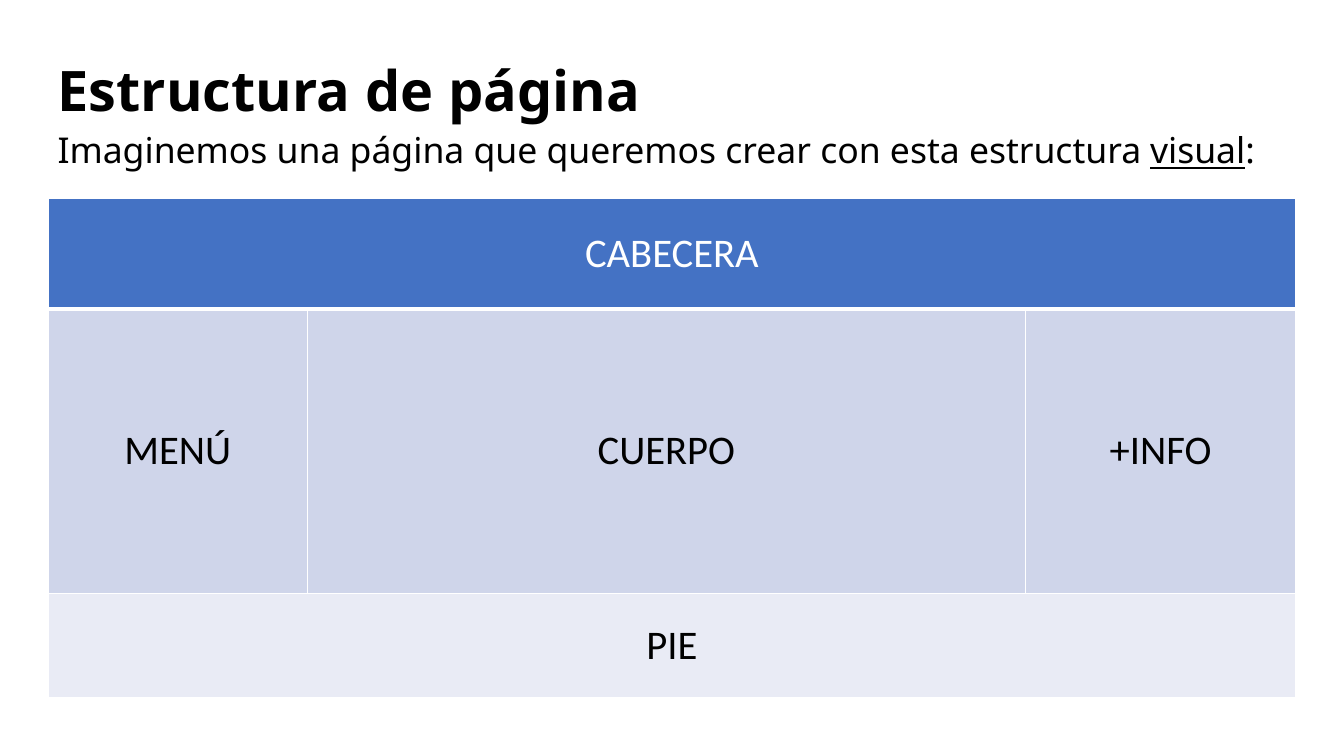
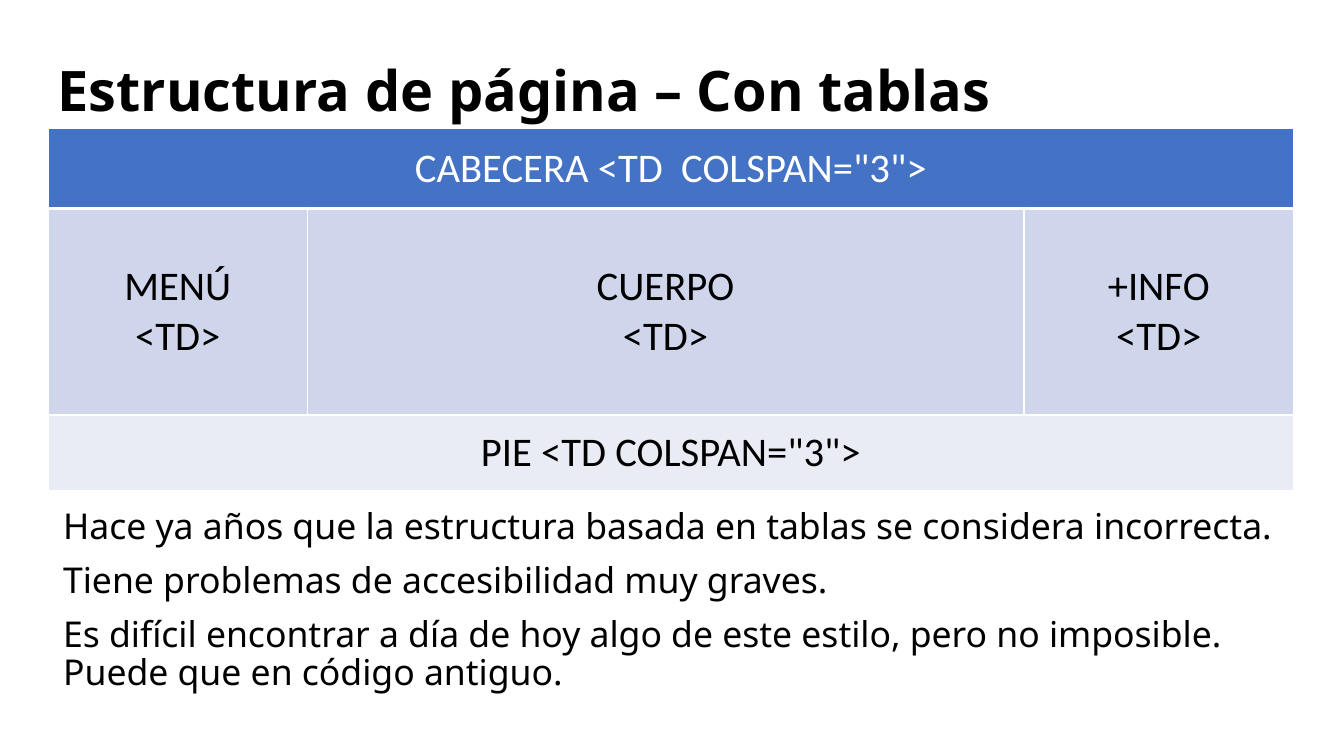
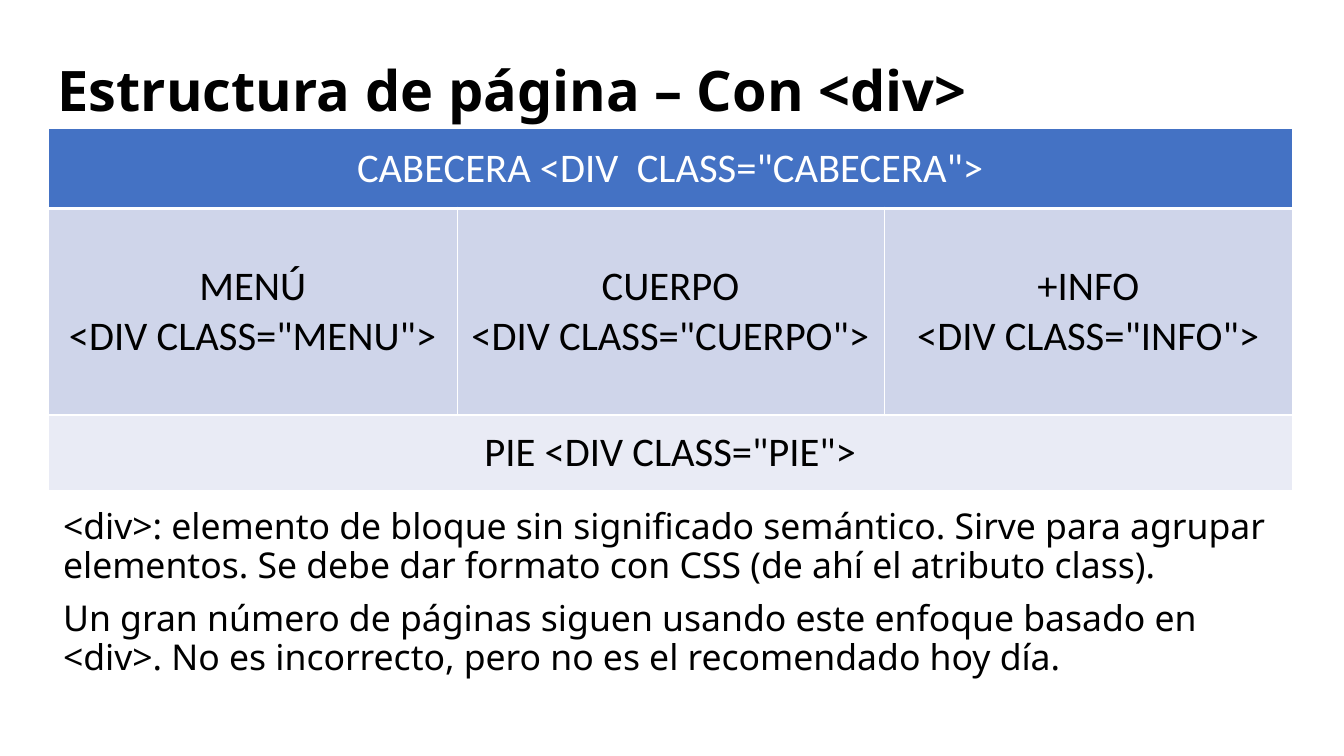
from lxml import etree
from pptx import Presentation
from pptx.dml.color import RGBColor
from pptx.enum.text import MSO_ANCHOR, MSO_AUTO_SIZE, PP_ALIGN
from pptx.oxml.ns import qn
from pptx.util import Inches, Pt

MIDDLE, TOP = MSO_ANCHOR.MIDDLE, MSO_ANCHOR.TOP
LEFT, CENTER = PP_ALIGN.LEFT, PP_ALIGN.CENTER
NO_AUTOFIT = MSO_AUTO_SIZE.NONE

BLACK = RGBColor(0x00, 0x00, 0x00)
WHITE = RGBColor(0xFF, 0xFF, 0xFF)
HEADER_BLUE = RGBColor(0x44, 0x72, 0xC4)
MIDDLE_BLUE = RGBColor(0xCF, 0xD5, 0xEA)
FOOTER_BLUE = RGBColor(0xE9, 0xEB, 0xF5)

TITLE_FONT = {"name": "Noto Sans", "size": Pt(44), "bold": True}
BODY_FONT = {"name": "Noto Sans", "size": Pt(28)}
CELL_FONT = {"name": "Calibri", "size": Pt(32), "bold": False}
TITLE_PARAGRAPH = {"alignment": LEFT, "line_spacing": 0.9}
BODY_PARAGRAPH = {"alignment": LEFT, "line_spacing": 0.9,
                  "space_before": Pt(6), "space_after": Pt(6)}

TITLE_BOX = (0.53, 0.64, 13.71, 0.77)
SIDE_COLUMN = 2.83
INFO_COLUMN = 2.95

PAGES = [
    {
        "title": "Estructura de página",
        "body": [[("Imaginemos una página que queremos crear con esta estructura ", False),
                  ("visual", True), (":", False)]],
        "body_box": (0.53, 1.4, 13.64, 2.49),
        "header": "CABECERA",
        "columns": ["MENÚ", "CUERPO", "+INFO"],
        "footer": "PIE",
        "table_at": (0.53, 2.17),
        "widths": [SIDE_COLUMN, 7.86, INFO_COLUMN],
        "heights": [1.21, 3.11, 1.14],
    },
    {
        "title": "Estructura de página – Con tablas",
        "body": [
            [("Hace ya años que la estructura basada en tablas se considera incorrecta.", False)],
            [("Tiene problemas de accesibilidad muy graves.", False)],
            [("Es difícil encontrar a día de hoy algo de este estilo, pero no imposible. "
              "Puede que en código antiguo.", False)],
        ],
        "body_box": (0.59, 5.52, 13.64, 2.32),
        "header": 'CABECERA <TD  COLSPAN="3">',
        "columns": ["MENÚ\n<TD>", "CUERPO\n<TD>", "+INFO\n<TD>"],
        "footer": 'PIE <TD COLSPAN="3">',
        "table_at": (0.53, 1.4),
        "widths": [SIDE_COLUMN, 7.84, INFO_COLUMN],
        "heights": [0.88, 2.26, 0.83],
    },
    {
        "title": "Estructura de página – Con <div>",
        "body": [
            [("<div>: elemento de bloque sin significado semántico. Sirve para agrupar "
              "elementos. Se debe dar formato con CSS (de ahí el atributo class).", False)],
            [("Un gran número de páginas siguen usando este enfoque basado en <div>. "
              "No es incorrecto, pero no es el recomendado hoy día.", False)],
        ],
        "body_box": (0.59, 5.52, 13.64, 2.15),
        "header": 'CABECERA <DIV  CLASS="CABECERA">',
        "columns": ['MENÚ\n<DIV CLASS="MENU">', 'CUERPO\n<DIV CLASS="CUERPO">',
                    '+INFO\n<DIV CLASS="INFO">'],
        "footer": 'PIE <DIV CLASS="PIE">',
        "table_at": (0.53, 1.4),
        "widths": [4.47, 4.67, 4.47],
        "heights": [0.88, 2.26, 0.83],
    },
]


def apply_format(target, values):
    for attribute, value in values.items():
        setattr(target, attribute, value)


def format_runs(paragraph, font_values, color):
    for run in paragraph.runs:
        apply_format(run.font, font_values)
        run.font.color.rgb = color


def place(placeholder, box, anchor):
    left, top, width, height = map(Inches, box)
    apply_format(placeholder, {"left": left, "top": top, "width": width, "height": height})
    apply_format(placeholder.text_frame, {"word_wrap": True, "auto_size": NO_AUTOFIT,
                                          "vertical_anchor": anchor})


def remove_bullet(paragraph):
    properties = paragraph._p.get_or_add_pPr()
    properties.set("marL", "0")
    properties.set("indent", "0")
    etree.SubElement(properties, qn("a:buNone"))


def fill_title(title, text):
    place(title, TITLE_BOX, MIDDLE)
    paragraph = title.text_frame.paragraphs[0]
    paragraph.text = text
    apply_format(paragraph, TITLE_PARAGRAPH)
    format_runs(paragraph, TITLE_FONT, BLACK)


def fill_body(body, box, paragraphs):
    """Write paragraphs, each a list of (text, underlined) pieces."""
    place(body, box, TOP)
    frame = body.text_frame
    for index, pieces in enumerate(paragraphs):
        paragraph = frame.add_paragraph() if index else frame.paragraphs[0]
        apply_format(paragraph, BODY_PARAGRAPH)
        remove_bullet(paragraph)
        for text, underlined in pieces:
            run = paragraph.add_run()
            run.text = text
            if underlined:
                run.font.underline = True
        format_runs(paragraph, BODY_FONT, BLACK)


def set_borders(cell, widths):
    """Draw white borders; widths maps each side (L, R, T, B) to points."""
    properties = cell._tc.get_or_add_tcPr()
    for side in "LRTB":
        line = etree.SubElement(properties, qn(f"a:ln{side}"), w=str(Pt(widths[side])))
        fill = etree.SubElement(line, qn("a:solidFill"))
        etree.SubElement(fill, qn("a:srgbClr"), val=str(WHITE))


def fill_cell(cell, text, background, color):
    cell.vertical_anchor = MIDDLE
    cell.fill.solid()
    cell.fill.fore_color.rgb = background
    paragraph = cell.text_frame.paragraphs[0]
    paragraph.text = text
    paragraph.alignment = CENTER
    format_runs(paragraph, CELL_FONT, color)


def add_page_layout(slide, page):
    """Add the table that sketches header, three columns and footer."""
    widths, heights = page["widths"], page["heights"]
    box = (*page["table_at"], sum(widths), sum(heights))
    table = slide.shapes.add_table(3, 3, *map(Inches, box)).table
    for column, width in zip(table.columns, widths):
        column.width = Inches(width)
    for row_index, (row, height) in enumerate(zip(table.rows, heights)):
        row.height = Inches(height)
        for cell in row.cells:
            set_borders(cell, {"L": 1, "R": 1, "T": 3 if row_index == 1 else 1,
                               "B": 3 if row_index == 0 else 1})
    for row_index in (0, 2):
        table.cell(row_index, 0).merge(table.cell(row_index, 2))
    fill_cell(table.cell(0, 0), page["header"], HEADER_BLUE, WHITE)
    for index, text in enumerate(page["columns"]):
        fill_cell(table.cell(1, index), text, MIDDLE_BLUE, BLACK)
    fill_cell(table.cell(2, 0), page["footer"], FOOTER_BLUE, BLACK)


def add_page(presentation, page):
    slide = presentation.slides.add_slide(presentation.slide_layouts[1])
    fill_title(slide.shapes.title, page["title"])
    fill_body(slide.placeholders[1], page["body_box"], page["body"])
    add_page_layout(slide, page)


def main():
    presentation = Presentation()
    presentation.slide_width = Inches(14.7)
    presentation.slide_height = Inches(8.27)
    for page in PAGES:
        add_page(presentation, page)
    presentation.save("out.pptx")


if __name__ == "__main__":
    main()
